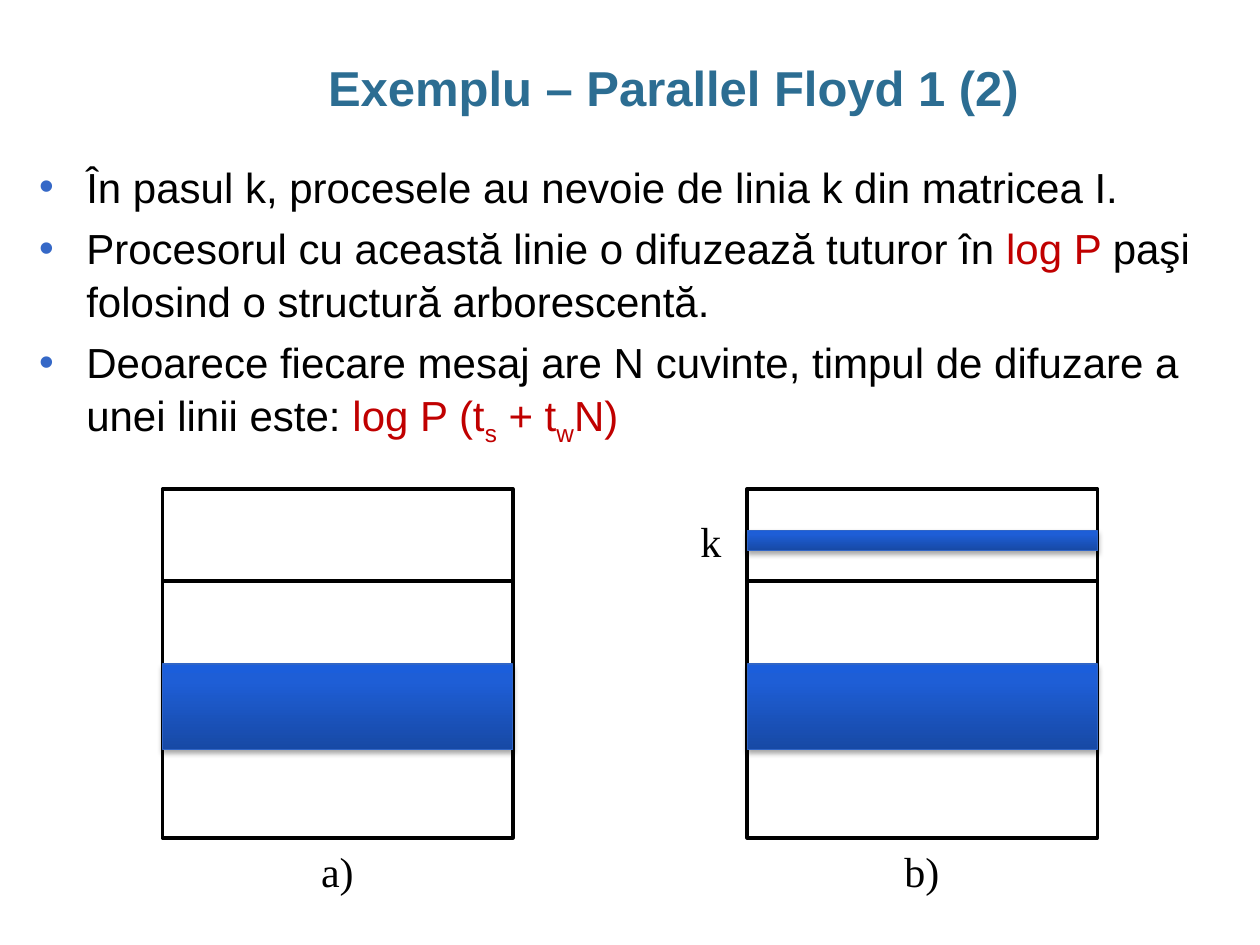
from copy import deepcopy

from lxml import etree
from pptx import Presentation
from pptx.dml.color import RGBColor
from pptx.enum import shapes, text
from pptx.oxml.ns import qn
from pptx.util import Inches, Pt

TITLE = "Exemplu – Parallel Floyd 1 (2)"
BLACK, RED = "000000", "C00000"
BULLETS = [
    [("În pasul k, procesele au nevoie de linia k din matricea I.", BLACK, 0)],
    [("Procesorul cu această linie o difuzează tuturor în ", BLACK, 0),
     ("log P ", RED, 0),
     ("paşi folosind o structură arborescentă.", BLACK, 0)],
    [("Deoarece fiecare mesaj are N cuvinte, timpul de difuzare a unei linii este: ", BLACK, 0),
     ("log P (t", RED, 0), ("s", RED, -25000), (" + t", RED, 0),
     ("w", RED, -25000), ("N)", RED, 0)],
]
BAND = (5.27, 0.68)
ROW_K = (4.21, 0.16)
MATRICES = [(1.29, [BAND]), (5.93, [BAND, ROW_K])]
LABELS = [("a)", 2.45, 6.66, 0.46), ("b)", 7.08, 6.66, 0.48), ("k", 5.46, 4.04, 0.37)]
MATRIX_TOP, MATRIX_WIDTH, MATRIX_HEIGHT, DIVIDER = 3.88, 2.78, 2.77, 4.61
GRADIENT = [(0, "1749A5"), (0.8, "1E5ED6"), (1, "1B5EDB")]
TITLE_FONT = {"name": "Arial", "size": Pt(28), "bold": True}
BODY_FONT = {"name": "Arial", "size": Pt(24)}
LABEL_FONT = {"name": "Times New Roman", "size": Pt(24)}


def rgb(value):
    return RGBColor.from_string(value)


def place(part, *box):
    for side, length in zip(("left", "top", "width", "height"), box):
        setattr(part, side, Inches(length))


def add_run(paragraph, words, font, color):
    run = paragraph.add_run()
    run.text = words
    for key, value in font.items():
        setattr(run.font, key, value)
    run.font.color.rgb = rgb(color)
    return run


def outline(part, color, width):
    part.line.color.rgb = rgb(color)
    part.line.width = Pt(width)


def add_rectangle(group, *box):
    rectangle = group.shapes.add_shape(
        shapes.MSO_SHAPE.RECTANGLE, *[Inches(length) for length in box])
    rectangle.shadow.inherit = False
    return rectangle


def add_band(group, *box):
    band = add_rectangle(group, *box)
    band.fill.gradient()
    band.fill.gradient_angle = 90
    stops = band._element.spPr.find(qn("a:gradFill")).find(qn("a:gsLst"))
    stops.append(deepcopy(stops[-1]))
    for stop, (position, color) in zip(band.fill.gradient_stops, GRADIENT):
        stop.position = position
        stop.color.rgb = rgb(color)
    outline(band, "3065C6", 0.75)
    effects = band._element.spPr.find(qn("a:effectLst"))
    shadow = etree.SubElement(effects, qn("a:outerShdw"), blurRad=str(Pt(3.1)),
                              dist=str(Pt(1.8)), dir="5400000", rotWithShape="0")
    shade = etree.SubElement(shadow, qn("a:srgbClr"), val=BLACK)
    etree.SubElement(shade, qn("a:alpha"), val="35000")


def add_matrix(slide, left, bands):
    group = slide.shapes.add_group_shape()
    frame = add_rectangle(group, left, MATRIX_TOP, MATRIX_WIDTH, MATRIX_HEIGHT)
    frame.fill.background()
    outline(frame, BLACK, 2)
    divider = group.shapes.add_connector(
        shapes.MSO_CONNECTOR.STRAIGHT, Inches(left), Inches(DIVIDER),
        Inches(left + MATRIX_WIDTH), Inches(DIVIDER))
    outline(divider, BLACK, 2)
    etree.SubElement(divider._element.spPr, qn("a:effectLst"))
    for top, height in bands:
        add_band(group, left, top, MATRIX_WIDTH, height)


def add_title(title):
    place(title, 0.69, 0.46, 9.31, 0.5)
    title.text_frame.margin_left = title.text_frame.margin_right = 0
    heading = title.text_frame.paragraphs[0]
    heading.alignment = text.PP_ALIGN.CENTER
    heading.line_spacing = 0.95
    add_run(heading, TITLE, TITLE_FONT, "2C6D92")


def add_bullets(body):
    place(body, 0.21, 1.21, 9.58, 2.83)
    body.text_frame.auto_size = text.MSO_AUTO_SIZE.NONE
    for index, parts in enumerate(BULLETS):
        bullet = body.text_frame.add_paragraph() if index else body.text_frame.paragraphs[0]
        bullet.line_spacing = 1.05
        marker = etree.SubElement(bullet._p.get_or_add_pPr(), qn("a:buClr"))
        etree.SubElement(marker, qn("a:srgbClr"), val="3568C7")
        for words, color, baseline in parts:
            run = add_run(bullet, words, BODY_FONT, color)
            if baseline:
                run.font._element.set("baseline", str(baseline))


def add_label(slide, words, left, top, width):
    label = slide.shapes.add_textbox(*[Inches(length) for length in (left, top, width, 0.5)])
    label.text_frame.word_wrap = False
    label.text_frame.auto_size = text.MSO_AUTO_SIZE.SHAPE_TO_FIT_TEXT
    add_run(label.text_frame.paragraphs[0], words, LABEL_FONT, BLACK)


def main():
    deck = Presentation()
    deck.slide_width, deck.slide_height = Inches(10), Inches(7.5)
    slide = deck.slides.add_slide(deck.slide_layouts[1])
    add_title(slide.shapes.title)
    add_bullets(slide.placeholders[1])
    for left, bands in MATRICES:
        add_matrix(slide, left, bands)
    for label in LABELS:
        add_label(slide, *label)
    deck.save("out.pptx")


if __name__ == "__main__":
    main()
